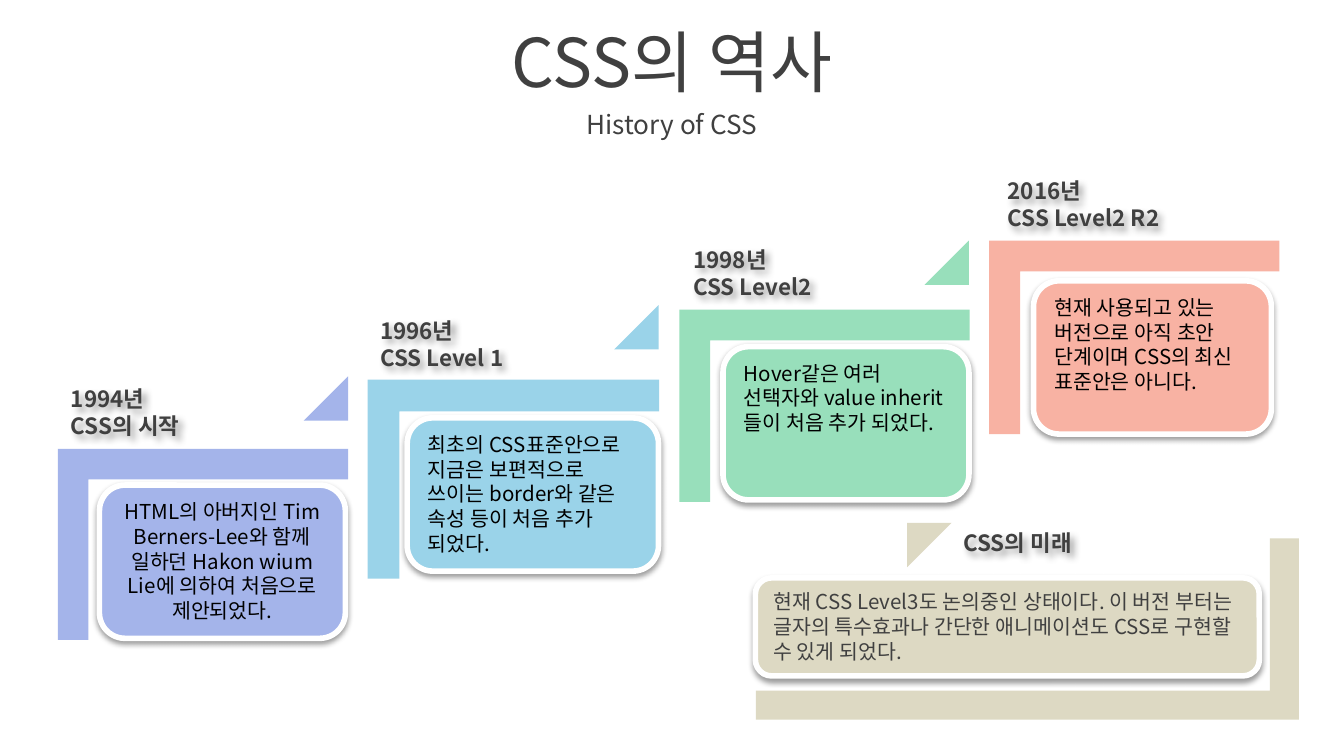
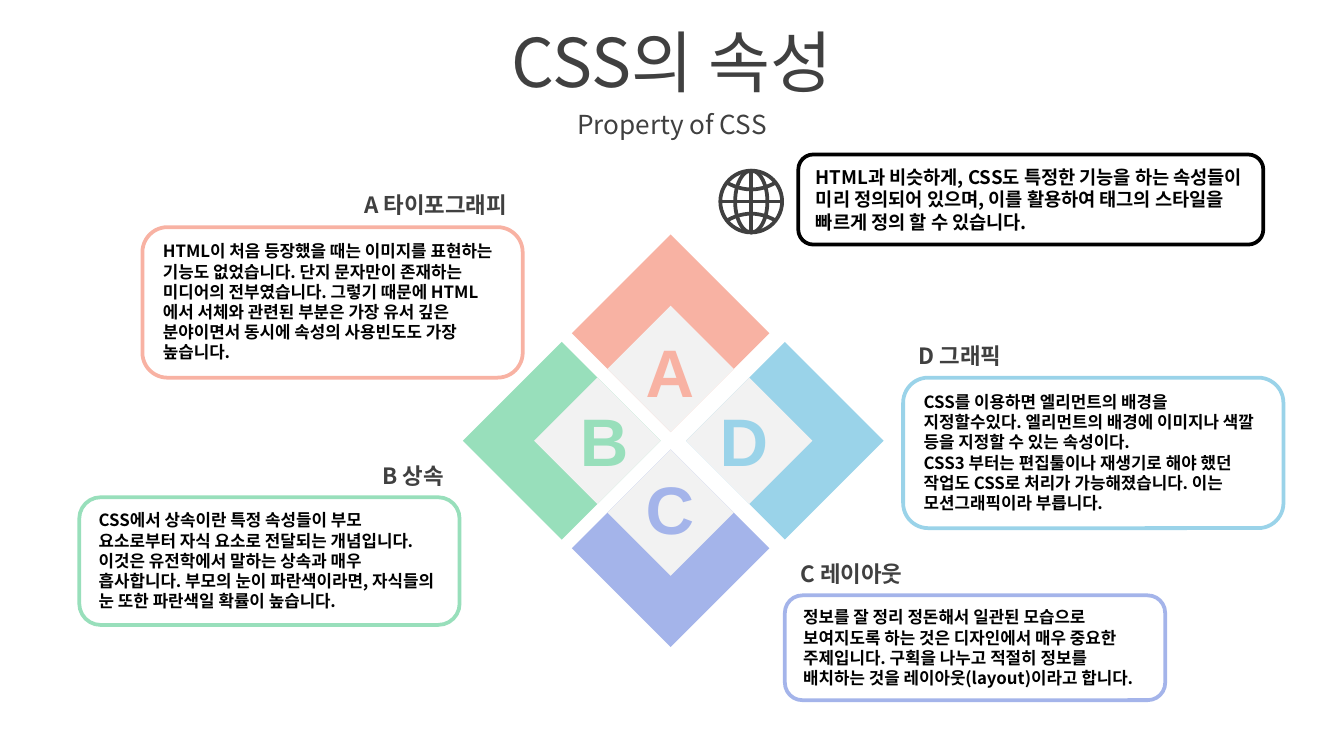
from lxml import etree
from pptx import Presentation
from pptx import util as u
from pptx.dml.color import RGBColor
from pptx.enum import shapes, text
from pptx.oxml import ns

HUE = {
    "violet": "A4B4EA", "blue": "9AD3E9", "green": "98DFBB", "coral": "F8B2A3",
    "sand": "DDD9C3", "pale": "F2F2F2", "white": "FFFFFF", "dark": "404040", "black": "000000",
}
FONT = "Noto Sans CJK KR"
KIND = shapes.MSO_SHAPE
ROUND = KIND.ROUNDED_RECTANGLE
LEFT, MID, RIGHT = text.PP_ALIGN.LEFT, text.PP_ALIGN.CENTER, text.PP_ALIGN.RIGHT


def draw(page, kind, box, fill=None, line=None, width=2, shade=None):
    dims = [u.Inches(n) for n in box]
    if kind is None:
        item = page.shapes.add_textbox(*dims)
    else:
        item = page.shapes.add_shape(kind, *dims)
    item.shadow.inherit = False
    if fill:
        item.fill.solid()
        item.fill.fore_color.rgb = RGBColor.from_string(HUE[fill])
    else:
        item.fill.background()
    if line:
        item.line.color.rgb = RGBColor.from_string(HUE[line])
        item.line.width = u.Pt(width)
    else:
        item.line.fill.background()
    if shade:
        blur, dist, turn = shade
        cast = etree.SubElement(
            item._element.spPr.find(ns.qn("a:effectLst")), ns.qn("a:outerShdw"),
            blurRad=str(u.Pt(blur)), dist=str(u.Pt(dist)), dir=str(turn * 60000),
            algn="tl", rotWithShape="0")
        tint = etree.SubElement(cast, ns.qn("a:srgbClr"), val=HUE["black"])
        etree.SubElement(tint, ns.qn("a:alpha"), val="38000")
    return item


def write(item, words, size, color="dark", bold=False, align=LEFT, face=FONT, anchor="TOP"):
    frame = item.text_frame
    frame.word_wrap = True
    frame.vertical_anchor = text.MSO_ANCHOR[anchor]
    frame.text = words
    for para in frame.paragraphs:
        para.alignment = align
        for run in para.runs:
            run.font.size = u.Pt(size)
            run.font.bold = bold
            run.font.name = face
            run.font.color.rgb = RGBColor.from_string(HUE[color])
            run.font._element.set("kern", "0")
            east = etree.SubElement(run.font._element, ns.qn("a:ea"))
            east.set("typeface", face)


deck = Presentation()
deck.slide_width, deck.slide_height = u.Inches(10), u.Inches(10 * 9 / 16)
pages = []
for head, sub in [("CSS의 역사", "History of CSS"), ("CSS의 속성", "Property of CSS")]:
    page = deck.slides.add_slide(deck.slide_layouts[6])
    write(draw(page, None, (0, 0.14, 10, 0.63)), head, 36, align=MID, anchor="MIDDLE")
    write(draw(page, None, (0, 0.77, 10, 0.31)), sub, 14, align=MID, anchor="MIDDLE")
    pages.append(page)
past, props = pages

SOFT = (3.1, 1.6, 90)
GLOW = (4, 3, 45)
steps = [
    ("violet", (0.8, 2.97, 1.42, 2.16), 90, (2.26, 2.8), (0.74, 3.61, 1.83, 1.14),
     (0.43, 2.82, 1.6, 0.5), "1994년\nCSS의 시작", "black", MID,
     "HTML의 아버지인 Tim Berners-Lee와 함께 일하던 Hakon wium Lie에 의하여 처음으로 제안되었다."),
    ("blue", (3.08, 2.48, 1.48, 2.17), 90, (4.57, 2.27), (3.03, 3.11, 1.87, 1.14),
     (2.73, 2.31, 1.6, 0.5), "1996년\nCSS Level 1", "black", LEFT,
     "최초의 CSS표준안으로\n지금은 보편적으로 쓰이는 border와 같은 속성 등이 처음 추가 되었다."),
    ("green", (5.42, 1.94, 1.43, 2.16), 90, (6.88, 1.79), (5.38, 2.58, 1.83, 1.14),
     (5.06, 1.78, 1.6, 0.5), "1998년\nCSS Level2", "black", LEFT,
     "Hover같은 여러 선택자와 value inherit 들이 처음 추가 되었다."),
    ("coral", (7.72, 1.43, 1.44, 2.16), 90, None, (7.69, 2.09, 1.77, 1.14),
     (7.4, 1.27, 1.6, 0.5), "2016년\nCSS Level2 R2", "black", LEFT,
     "현재 사용되고 있는 버전으로 아직 초안 단계이며 CSS의 최신 표준안은 아니다."),
    ("sand", (6.97, 2.66, 1.35, 4.04), 270, (6.75, 3.89), (5.62, 4.3, 3.75, 0.73),
     (7.07, 3.89, 1.24, 0.3), "CSS의 미래", "dark", LEFT,
     "현재 CSS Level3도 논의중인 상태이다. 이 버전 부터는 글자의 특수효과나 간단한 애니메이션도 CSS로 구현할 수 있게 되었다."),
]
for hue, bend, turn, tip, card, tag, name, ink, align, body in steps:
    angle = draw(past, KIND.CORNER, bend, hue)
    angle.rotation = turn
    angle.adjustments[0] = angle.adjustments[1] = 0.16
    if tip:
        wedge = draw(past, KIND.ISOSCELES_TRIANGLE, (*tip, 0.33, 0.33), hue)
        wedge.adjustments[0] = 1
        wedge.rotation = turn - 90
    write(draw(past, ROUND, card, hue, "white", 3, SOFT), body, 11, ink, align=align)
    write(draw(past, None, tag, shade=GLOW), name, 12, bold=True)

parts = [
    ("A", "coral", 0, -1, (1.06, 1.69, 1.12), RIGHT, "타이포그래피",
     "HTML이 처음 등장했을 때는 이미지를 표현하는 기능도 없었습니다. 단지 문자만이 존재하는 미디어의 전부였습니다. 그렇기 때문에 HTML에서 서체와 관련된 부분은 가장 유서 깊은 분야이면서 동시에 속성의 사용빈도도 가장 높습니다."),
    ("B", "green", -1, 0, (0.59, 3.7, 0.95), RIGHT, "상속",
     "CSS에서 상속이란 특정 속성들이 부모 요소로부터 자식 요소로 전달되는 개념입니다.\n이것은 유전학에서 말하는 상속과 매우 흡사합니다. 부모의 눈이 파란색이라면, 자식들의 눈 또한 파란색일 확률이 높습니다."),
    ("C", "violet", 0, 1, (5.84, 4.43, 0.78), LEFT, "레이아웃",
     "정보를 잘 정리 정돈해서 일관된 모습으로 보여지도록 하는 것은 디자인에서 매우 중요한 주제입니다. 구획을 나누고 적절히 정보를 배치하는 것을 레이아웃(layout)이라고 합니다."),
    ("D", "blue", 1, 0, (6.72, 2.81, 1.12), LEFT, "그래픽",
     "CSS를 이용하면 엘리먼트의 배경을 지정할수있다. 엘리먼트의 배경에 이미지나 색깔 등을 지정할 수 있는 속성이다.\nCSS3 부터는 편집툴이나 재생기로 해야 했던 작업도 CSS로 처리가 가능해졌습니다. 이는 모션그래픽이라 부릅니다."),
]
for size, fill in [(1.47, None), (0.94, "pale")]:
    inset = (1.47 - size) / 2
    for mark, hue, dx, dy, *rest in parts:
        midx = 4.99 + 0.02 * abs(dx) + dx * (0.83 - inset)
        midy = 3.28 + dy * (0.8 - inset)
        draw(props, KIND.DIAMOND, (midx - size / 2, midy - size / 2, size, size), fill or hue)
for mark, hue, dx, dy, (x, y, tall), align, name, body in parts:
    spot = (4.68 + 0.03 * abs(dx) + dx * 0.52, 2.92 + dy * 0.51, 0.61, 0.71)
    write(draw(props, None, spot), mark, 36, hue, True, MID, "Arial")
    write(draw(props, ROUND, (x, y, 2.83, tall), "white", hue), body, 9, "black", True)
    write(draw(props, ROUND, (x, y - 0.33, 2.83, 0.34)), f"{mark} {name}", 12, bold=True, align=align)

cx, cy, rad = 5.59, 1.5, 0.23
for wide in (rad, 0.12):
    draw(props, KIND.OVAL, (cx - wide, cy - rad, wide * 2, rad * 2), None, "dark")
for dx, dy in [(rad, 0), (0, rad)]:
    ends = [u.Inches(n) for n in (cx - dx, cy - dy, cx + dx, cy + dy)]
    rod = props.shapes.add_connector(shapes.MSO_CONNECTOR.STRAIGHT, *ends)
    rod.line.color.rgb = RGBColor.from_string(HUE["dark"])
    rod.line.width = u.Pt(2)
    etree.SubElement(rod._element.spPr, ns.qn("a:effectLst"))
for side in (-1, 1):
    dots = [(u.Inches(cx + n * 0.03), u.Inches(cy + side * (0.09 + 0.05 * (n / 6) ** 2)))
            for n in range(-6, 7)]
    pen = props.shapes.build_freeform(*dots[0])
    pen.add_line_segments(dots[1:], close=False)
    arc = pen.convert_to_shape()
    arc.shadow.inherit = False
    arc.fill.background()
    arc.line.color.rgb = RGBColor.from_string(HUE["dark"])
    arc.line.width = u.Pt(2)

note = draw(props, ROUND, (5.94, 1.15, 3.46, 0.67), "white", "black")
write(note, "HTML과 비슷하게, CSS도 특정한 기능을 하는 속성들이 미리 정의되어 있으며, 이를 활용하여 태그의 스타일을 빠르게 정의 할 수 있습니다.",
      10, "black", True)

deck.save("out.pptx")
